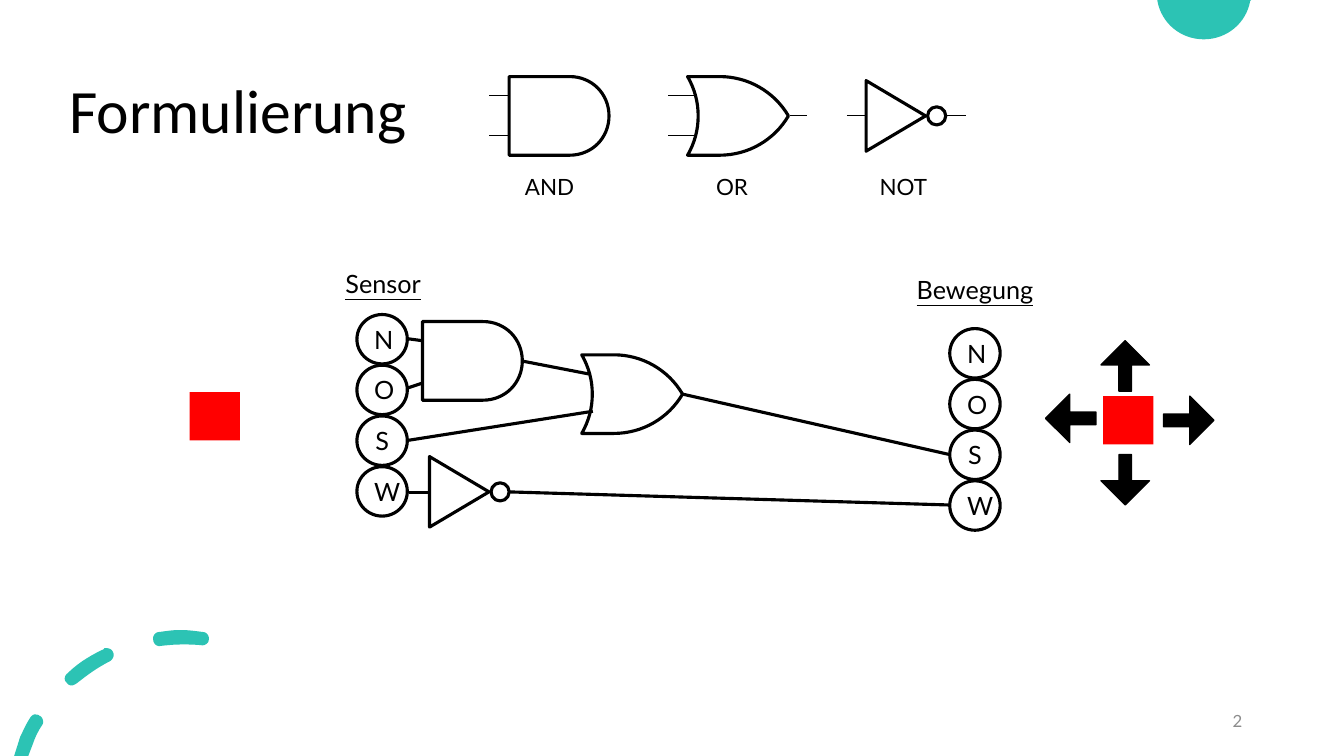
"""Build the slide that formulates sensor to movement rules as logic gates."""
import lxml.etree
import pptx
import pptx.dml.color
import pptx.enum.shapes
import pptx.enum.text
import pptx.oxml.ns
import pptx.util

Inches = pptx.util.Inches
Pt = pptx.util.Pt
RGBColor = pptx.dml.color.RGBColor
MSO_SHAPE = pptx.enum.shapes.MSO_SHAPE
PP_ALIGN = pptx.enum.text.PP_ALIGN
MSO_ANCHOR = pptx.enum.text.MSO_ANCHOR

BLACK = RGBColor(0x00, 0x00, 0x00)
WHITE = RGBColor(0xFF, 0xFF, 0xFF)
RED = RGBColor(0xFF, 0x00, 0x00)
TEAL = RGBColor(0x2C, 0xC3, 0xB4)
GRAY = RGBColor(0x8C, 0x8C, 0x8C)

HEAVY, THIN = 2.25, 0.75
CURVE_STEPS = 16
DIRECTIONS = "NOSW"
PORT_PITCH = 1.51 / 3

AND_GATE = [(0, 0), (0.6, 0), (0.82, 0, 0.99, 0.17, 0.99, 0.39),
            (0.99, 0.61, 0.82, 0.78, 0.6, 0.78), (0, 0.78)]
OR_GATE = [(0, 0), (0.32, 0), (0.6, 0, 0.86, 0.15, 1, 0.39),
           (0.86, 0.63, 0.6, 0.78, 0.32, 0.78), (0, 0.78),
           (0.14, 0.54, 0.14, 0.24, 0, 0)]
NOT_GATE = [(0, 0), (0.59, 0.35), (0, 0.7)]

CORNER_DISC = [(11.48, 0), (12.41, 0), (12.4, 0.01),
               (12.36, 0.23, 12.17, 0.39, 11.94, 0.39),
               (11.71, 0.39, 11.52, 0.23, 11.48, 0.01)]
CORNER_DASHES = [
    [(0.36, 7.09), (0.34, 7.08, 0.31, 7.1, 0.3, 7.12),
     (0.26, 7.18, 0.23, 7.25, 0.2, 7.31), (0.14, 7.5), (0.28, 7.5),
     (0.33, 7.37), (0.35, 7.31, 0.38, 7.25, 0.42, 7.19),
     (0.44, 7.16, 0.42, 7.11, 0.39, 7.1), (0.38, 7.09, 0.37, 7.09, 0.36, 7.09)],
    [(1.05, 6.43), (1.04, 6.43, 1.03, 6.43, 1.03, 6.44),
     (0.9, 6.5, 0.77, 6.58, 0.67, 6.68), (0.64, 6.7, 0.63, 6.75, 0.66, 6.77),
     (0.67, 6.79, 0.69, 6.8, 0.71, 6.8), (0.73, 6.8, 0.74, 6.79, 0.76, 6.78),
     (0.86, 6.7, 0.97, 6.62, 1.09, 6.56), (1.12, 6.54, 1.14, 6.5, 1.12, 6.47),
     (1.11, 6.44, 1.08, 6.43, 1.05, 6.43)],
    [(1.79, 6.25), (1.72, 6.25, 1.65, 6.26, 1.58, 6.27),
     (1.54, 6.27, 1.51, 6.31, 1.52, 6.35), (1.52, 6.38, 1.55, 6.41, 1.58, 6.41),
     (1.73, 6.39, 1.86, 6.39, 1.99, 6.4), (2.03, 6.41, 2.07, 6.38, 2.07, 6.35),
     (2.08, 6.31, 2.05, 6.27, 2.01, 6.27), (1.94, 6.26, 1.86, 6.25, 1.79, 6.25)],
]


def flatten(outline):
    """Turn points and cubic segments into a list of points."""
    points = [outline[0]]
    for segment in outline[1:]:
        if len(segment) == 2:
            points.append(segment)
            continue
        start = points[-1]
        corners = [start, segment[:2], segment[2:4], segment[4:]]
        for step in range(1, CURVE_STEPS + 1):
            t = step / CURVE_STEPS
            weights = ((1 - t) ** 3, 3 * t * (1 - t) ** 2, 3 * t * t * (1 - t), t ** 3)
            points.append(tuple(sum(weight * corner[axis] for weight, corner in zip(weights, corners))
                                for axis in (0, 1)))
    return points


def style_shape(shape, fill=None, line=None, line_width=HEAVY):
    """Set the fill and line of a shape, without a shadow."""
    shape.shadow.inherit = False
    if fill is None:
        shape.fill.background()
    else:
        shape.fill.solid()
        shape.fill.fore_color.rgb = fill
    if line is None:
        shape.line.fill.background()
    else:
        shape.line.color.rgb = line
        shape.line.width = Pt(line_width)


def style_text(frame, text, size, color=BLACK, font="Lato", align=PP_ALIGN.CENTER, underline=None):
    """Write one paragraph and format its run."""
    frame.text = text
    paragraph = frame.paragraphs[0]
    paragraph.alignment = align
    run_font = paragraph.runs[0].font
    run_font.name = font
    run_font.size = Pt(size)
    run_font.color.rgb = color
    run_font.underline = underline


def add_outline(slide, contours, left=0, top=0, fill=None, line=None):
    """Draw closed contours as one freeform."""
    placed = [[(Inches(left + x), Inches(top + y)) for x, y in flatten(contour)]
              for contour in contours]
    builder = slide.shapes.build_freeform(*placed[0][0], scale=1.0)
    for index, points in enumerate(placed):
        if index:
            builder.move_to(*points[0])
        builder.add_line_segments(points[1:], close=True)
    style_shape(builder.convert_to_shape(), fill, line)


def add_preset(slide, preset, left, top, width, height, **style):
    """Add a styled preset shape."""
    shape = slide.shapes.add_shape(preset, Inches(left), Inches(top), Inches(width), Inches(height))
    style_shape(shape, **style)
    return shape


def add_label(slide, text, left, top, width, height, size, anchor=MSO_ANCHOR.TOP, **style):
    """Add a text box with one line of text."""
    frame = slide.shapes.add_textbox(Inches(left), Inches(top), Inches(width), Inches(height)).text_frame
    frame.word_wrap = True
    frame.vertical_anchor = anchor
    style_text(frame, text, size, **style)
    return frame


def add_wire(slide, x1, y1, x2, y2, line_width=HEAVY):
    """Connect two points with a straight line."""
    wire = slide.shapes.add_connector(pptx.enum.shapes.MSO_CONNECTOR.STRAIGHT,
                                      Inches(x1), Inches(y1), Inches(x2), Inches(y2))
    wire.line.color.rgb = BLACK
    wire.line.width = Pt(line_width)
    lxml.etree.SubElement(wire._element.spPr, pptx.oxml.ns.qn("a:effectLst"))


def add_gate(slide, gate, left, top):
    """Draw a logic gate, with its bubble if it negates."""
    add_outline(slide, [gate], left, top, line=BLACK)
    if gate is NOT_GATE:
        add_preset(slide, MSO_SHAPE.OVAL, left + 0.61, top + 0.26, 0.18, 0.18, line=BLACK)


def add_ports(slide, left, top):
    """Stack one circle for each direction."""
    for row, direction in enumerate(DIRECTIONS):
        port = add_preset(slide, MSO_SHAPE.OVAL, left, top + row * PORT_PITCH, 0.5, 0.49,
                          fill=WHITE, line=BLACK)
        style_text(port.text_frame, direction, 18)


def add_legend(slide):
    """Show the three gates with their names and leads."""
    for name, gate, left, top, center in (("AND", AND_GATE, 5.05, 0.76, 5.45),
                                          ("OR", OR_GATE, 6.82, 0.76, 7.26),
                                          ("NOT", NOT_GATE, 8.59, 0.8, 8.96)):
        add_gate(slide, gate, left, top)
        add_label(slide, name, center - 0.5, 1.67, 1, 0.36, 16, MSO_ANCHOR.MIDDLE)
    for x1, x2, y in ((4.85, 5.05, 0.95), (4.85, 5.05, 1.34), (6.63, 6.9, 0.95), (6.63, 6.9, 1.34),
                      (7.84, 8, 1.15), (8.4, 8.59, 1.15), (9.38, 9.58, 1.15)):
        add_wire(slide, x1, y, x2, y, THIN)


def add_circuit(slide):
    """Wire the sensors through gates to the movements."""
    add_ports(slide, 3.54, 3.12)
    add_ports(slide, 9.42, 3.26)
    add_label(slide, "Sensor", 2.76, 2.61, 2.08, 0.4, 18, underline=True)
    add_label(slide, "Bewegung", 8.76, 2.67, 1.82, 0.4, 18, underline=True)
    for gate, left, top in ((AND_GATE, 4.19, 3.19), (NOT_GATE, 4.26, 4.53), (OR_GATE, 5.77, 3.52)):
        add_gate(slide, gate, left, top)
    for ends in ((4.04, 3.36, 4.19, 3.38), (4.04, 3.85, 4.19, 3.8), (5.17, 3.58, 5.84, 3.71),
                 (4.06, 4.89, 4.26, 4.89), (5.05, 4.88, 9.42, 5.01), (6.77, 3.91, 9.42, 4.51),
                 (4.04, 4.37, 5.88, 4.08)):
        add_wire(slide, *ends)


def add_robots(slide):
    """Place the red robots and the four movement arrows."""
    for left, top in ((1.88, 3.89), (10.94, 3.93)):
        add_preset(slide, MSO_SHAPE.RECTANGLE, left, top, 0.5, 0.48, fill=RED)
    for left, top, rotation in ((11.54, 3.93, 0), (10.91, 3.39, 270), (10.37, 3.91, 180), (10.91, 4.52, 90)):
        arrow = add_preset(slide, MSO_SHAPE.RIGHT_ARROW, left, top, 0.5, 0.48,
                           fill=BLACK, line=BLACK, line_width=1)
        arrow.adjustments[0] = 0.26
        arrow.rotation = rotation


def main():
    """Build and save the slide."""
    deck = pptx.Presentation()
    deck.slide_width, deck.slide_height = Inches(13.33), Inches(7.5)
    slide = deck.slides.add_slide(deck.slide_layouts[6])
    add_outline(slide, [CORNER_DISC], fill=TEAL)
    add_outline(slide, CORNER_DASHES, fill=TEAL)
    title = add_label(slide, "Formulierung", 0.59, 0.4, 11.5, 1.45, 44, MSO_ANCHOR.MIDDLE,
                      font="Calibri", align=PP_ALIGN.LEFT)
    title.paragraphs[0].line_spacing = 0.9
    add_legend(slide)
    add_label(slide, "2", 9.42, 6.95, 3, 0.4, 12, MSO_ANCHOR.MIDDLE, color=GRAY, align=PP_ALIGN.RIGHT)
    add_circuit(slide)
    add_robots(slide)
    deck.save("out.pptx")


if __name__ == "__main__":
    main()
